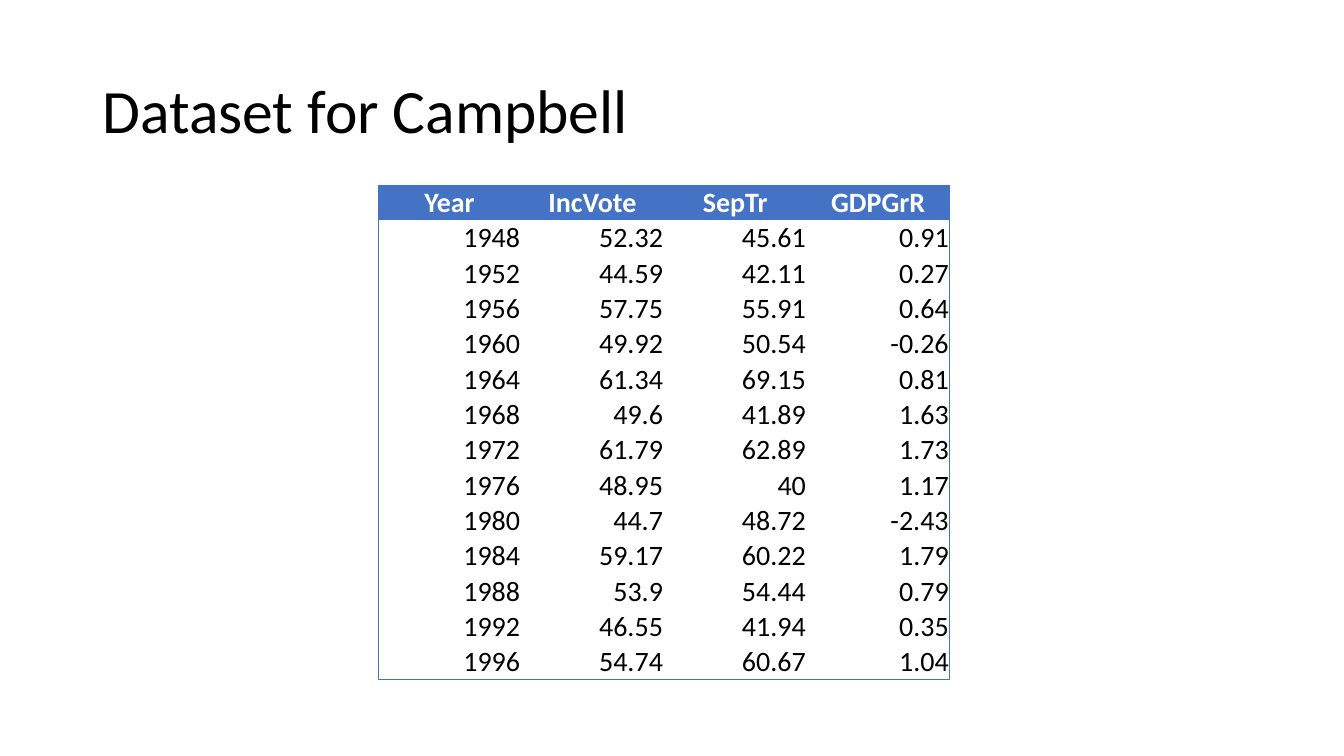
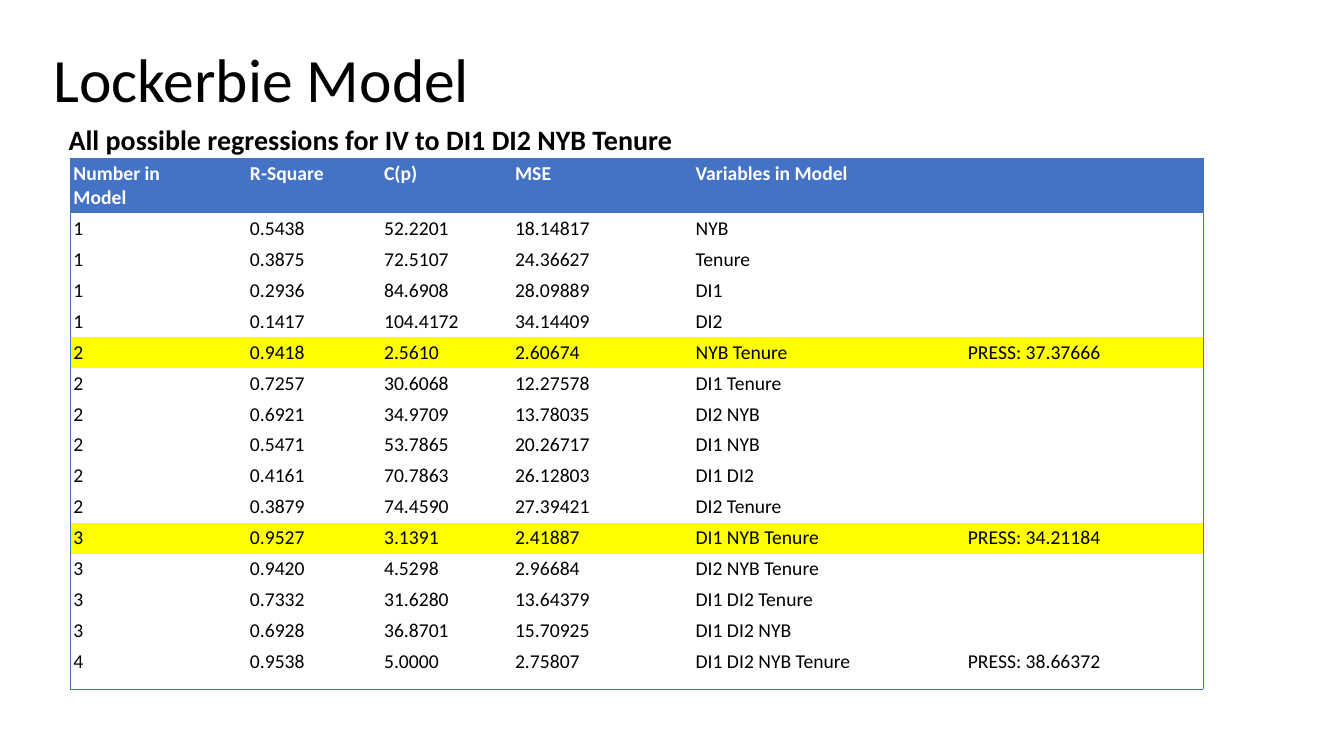
import pptx
import pptx.util
import pptx.dml.color
import pptx.enum.text
import pptx.oxml.ns
from lxml import etree

Cm, Pt = pptx.util.Cm, pptx.util.Pt
RGB = pptx.dml.color.RGBColor
ALIGN = pptx.enum.text.PP_ALIGN
ANCHOR = pptx.enum.text.MSO_ANCHOR
qn = pptx.oxml.ns.qn

BLUE = RGB(0x44, 0x72, 0xC4)
WHITE = RGB(0xFF, 0xFF, 0xFF)
BLACK = RGB(0x00, 0x00, 0x00)
YELLOW = RGB(0xFF, 0xFF, 0x00)
FONT = "Calibri"
PLAIN = "{2D5ABB26-0587-4C30-8999-92F81FD0307C}"

VOTES = [
    ("Year", "IncVote", "SepTr", "GDPGrR"),
    ("1948", "52.32", "45.61", "0.91"),
    ("1952", "44.59", "42.11", "0.27"),
    ("1956", "57.75", "55.91", "0.64"),
    ("1960", "49.92", "50.54", "-0.26"),
    ("1964", "61.34", "69.15", "0.81"),
    ("1968", "49.6", "41.89", "1.63"),
    ("1972", "61.79", "62.89", "1.73"),
    ("1976", "48.95", "40", "1.17"),
    ("1980", "44.7", "48.72", "-2.43"),
    ("1984", "59.17", "60.22", "1.79"),
    ("1988", "53.9", "54.44", "0.79"),
    ("1992", "46.55", "41.94", "0.35"),
    ("1996", "54.74", "60.67", "1.04"),
]

MODELS = [
    ("Number in\nModel", "R-Square", "C(p)", "MSE", "Variables in Model", ""),
    ("1", "0.5438", "52.2201", "18.14817", "NYB", ""),
    ("1", "0.3875", "72.5107", "24.36627", "Tenure", ""),
    ("1", "0.2936", "84.6908", "28.09889", "DI1", ""),
    ("1", "0.1417", "104.4172", "34.14409", "DI2", ""),
    ("2", "0.9418", "2.5610", "2.60674", "NYB Tenure", "PRESS: 37.37666"),
    ("2", "0.7257", "30.6068", "12.27578", "DI1 Tenure", ""),
    ("2", "0.6921", "34.9709", "13.78035", "DI2 NYB", ""),
    ("2", "0.5471", "53.7865", "20.26717", "DI1 NYB", ""),
    ("2", "0.4161", "70.7863", "26.12803", "DI1 DI2", ""),
    ("2", "0.3879", "74.4590", "27.39421", "DI2 Tenure", ""),
    ("3", "0.9527", "3.1391", "2.41887", "DI1 NYB Tenure", "PRESS: 34.21184"),
    ("3", "0.9420", "4.5298", "2.96684", "DI2 NYB Tenure", ""),
    ("3", "0.7332", "31.6280", "13.64379", "DI1 DI2 Tenure", ""),
    ("3", "0.6928", "36.8701", "15.70925", "DI1 DI2 NYB", ""),
    ("4", "0.9538", "5.0000", "2.75807", "DI1 DI2 NYB Tenure", "PRESS: 38.66372"),
]
BEST = (5, 11)


def write(para, text, size, color=BLACK, bold=False):
    para.text = text
    for run in para.runs:
        font = run.font
        font.name, font.size, font.bold = FONT, Pt(size), bold
        font.color.rgb = color
    if not text:
        etree.SubElement(para._p, qn("a:endParaRPr"), sz=str(size * 100))


def add_title(slide, text, left, top):
    box = slide.shapes.add_textbox(Cm(left), Cm(top), Cm(29.21), Cm(3.68))
    frame = box.text_frame
    frame.word_wrap = True
    frame.vertical_anchor = ANCHOR.MIDDLE
    para = frame.paragraphs[0]
    write(para, text, 44)
    para.line_spacing = 0.9


def add_label(slide, text, left, top, width, height):
    box = slide.shapes.add_textbox(Cm(left), Cm(top), Cm(width), Cm(height))
    box.text_frame.word_wrap = False
    write(box.text_frame.paragraphs[0], text, 20, bold=True)


def edge(cell, tag):
    """Draw a thin blue line on one side of a cell."""
    line = etree.SubElement(cell._tc.get_or_add_tcPr(), qn(tag), w=str(Pt(0.5)))
    fill = etree.SubElement(line, qn("a:solidFill"))
    etree.SubElement(fill, qn("a:srgbClr"), val=str(BLUE))


def add_grid(slide, data, left, top, cols, rows, size, insets,
             aligns=(ALIGN.LEFT, ALIGN.LEFT), anchor=ANCHOR.TOP, marked=()):
    """Place a framed table; aligns holds the header's and the body's."""
    table = slide.shapes.add_table(
        len(rows), len(cols), Cm(left), Cm(top),
        Cm(sum(cols)), Cm(sum(rows))).table
    table._tbl.tblPr.find(qn("a:tableStyleId")).text = PLAIN
    table.horz_banding = False
    for col, width in zip(table.columns, cols):
        col.width = Cm(width)
    for row, height in zip(table.rows, rows):
        row.height = Cm(height)

    side, above, below = insets
    for r, values in enumerate(data):
        head = r == 0
        for c, text in enumerate(values):
            cell = table.cell(r, c)
            cell.margin_left = cell.margin_right = Cm(side)
            cell.margin_top, cell.margin_bottom = Cm(above), Cm(below)
            cell.vertical_anchor = anchor
            sides = (("a:lnL", c == 0), ("a:lnR", c == len(cols) - 1),
                     ("a:lnT", head), ("a:lnB", r == len(rows) - 1))
            for tag, outer in sides:
                if outer:
                    edge(cell, tag)
            if head or r in marked:
                cell.fill.solid()
                cell.fill.fore_color.rgb = BLUE if head else YELLOW
            else:
                cell.fill.background()
            para = cell.text_frame.paragraphs[0]
            write(para, text, size, WHITE if head else BLACK, head)
            para.alignment = aligns[0 if head else 1]


def data_slide(slide):
    add_title(slide, "Dataset for Campbell", 2.33, 1.01)
    add_grid(slide, VOTES, 9.53, 4.66, [3.6] * 4, [0.89] * len(VOTES), 20,
             (0.02, 0.02, 0), (ALIGN.CENTER, ALIGN.RIGHT), ANCHOR.BOTTOM)


def model_slide(slide):
    rows = [1.38] + [0.78] * (len(MODELS) - 2) + [1.07]
    add_grid(slide, MODELS, 1.76, 3.99, [4.45, 3.38, 3.3, 4.55, 6.86, 6.02],
             rows, 14, (0.09, 0.09, 0.09), marked=BEST)
    add_title(slide, "Lockerbie Model", 1.1, 0.25)
    add_label(slide, "All possible regressions for IV to DI1 DI2 NYB Tenure",
              1.48, 2.95, 15.85, 1.11)


def main():
    deck = pptx.Presentation()
    deck.slide_width, deck.slide_height = Cm(33.87), Cm(19.05)
    for build in (data_slide, model_slide):
        build(deck.slides.add_slide(deck.slide_layouts[6]))
    deck.save("out.pptx")


if __name__ == "__main__":
    main()
